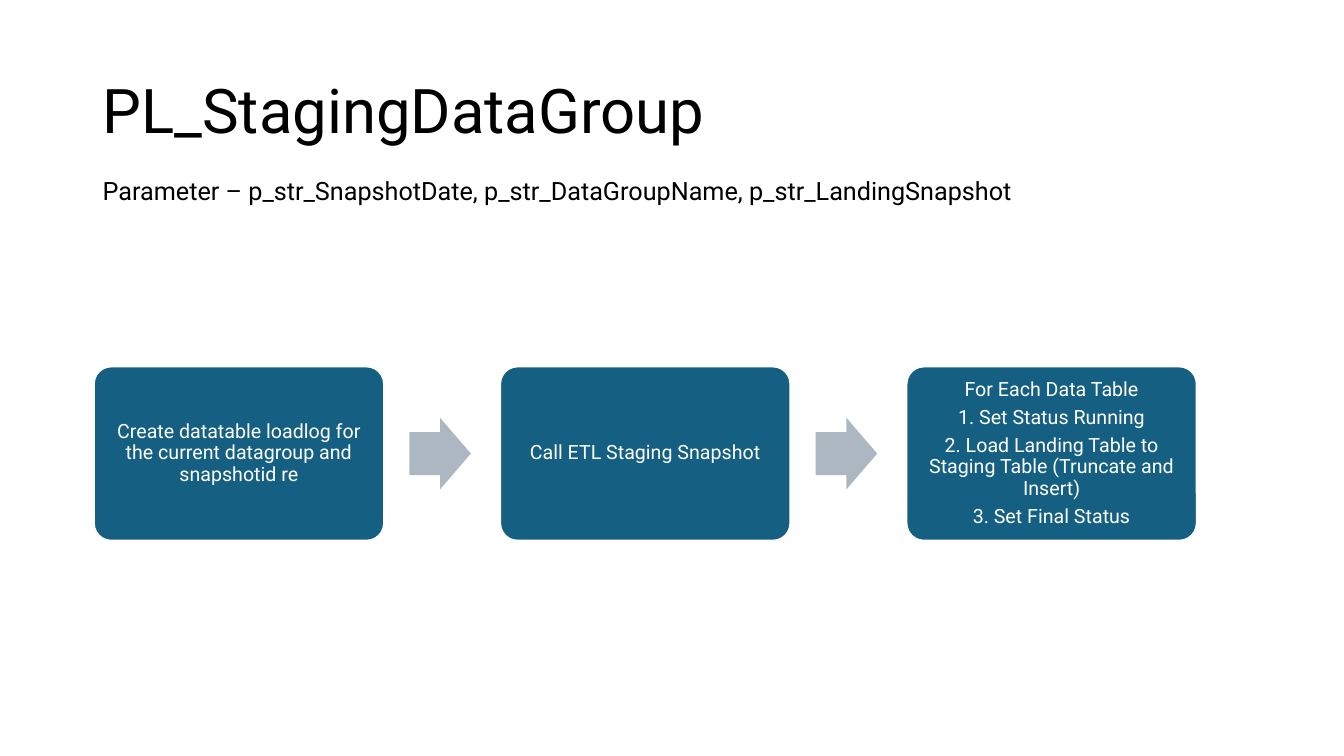
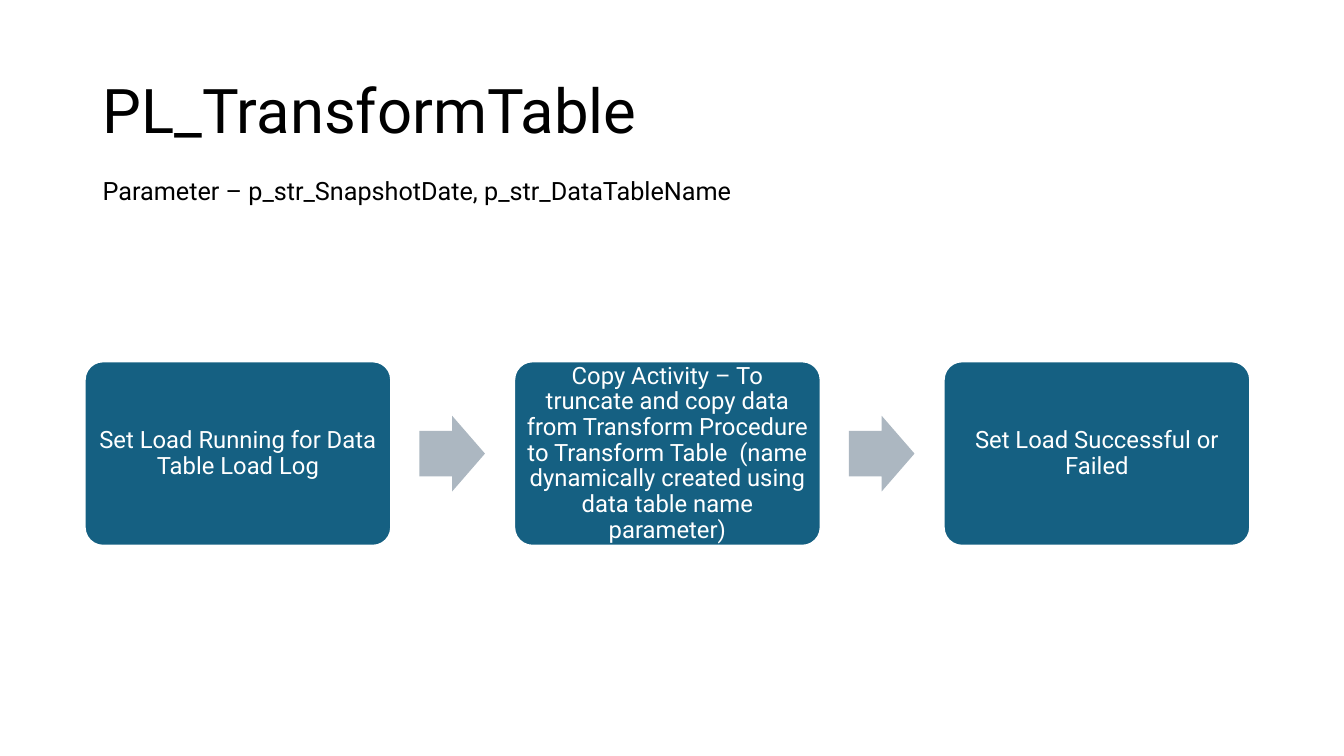
from pptx import Presentation
from pptx.dml.color import RGBColor
from pptx.enum.shapes import MSO_SHAPE
from pptx.enum.text import MSO_ANCHOR, PP_ALIGN
from pptx.util import Inches, Pt

FONT = "Roboto"
COLORS = {"text": "000000", "step": "156082", "arrow": "ACB7C1", "white": "FFFFFF"}
FLOW_MIDDLE = 4.5

# Content: each step is a list of paragraphs; lengths are in inches
PIPELINES = [
    {
        "title": "PL_StagingDataGroup",
        "parameters": "Parameter – p_str_SnapshotDate, p_str_DataGroupName, p_str_LandingSnapshot",
        "steps": [
            ["Create datatable loadlog for the current datagroup and snapshotid re"],
            ["Call ETL Staging Snapshot"],
            [
                "For Each Data Table",
                "1. Set Status Running",
                "2. Load Landing Table to Staging Table (Truncate and Insert)",
                "3. Set Final Status",
            ],
        ],
        "left": 0.93, "pitch": 4.03, "step": (2.88, 1.73),
        "arrow": (0.61, 0.71), "arrow_gap": 0.25, "inset": 0.06, "size": 14,
    },
    {
        "title": "PL_TransformTable",
        "parameters": "Parameter – p_str_SnapshotDate, p_str_DataTableName",
        "steps": [
            ["Set Load Running for Data Table Load Log"],
            ["Copy Activity – To truncate and copy data from Transform Procedure to "
             "Transform Table  (name dynamically created using data table name parameter)"],
            ["Set Load Successful or Failed"],
        ],
        "left": 0.84, "pitch": 4.26, "step": (3.04, 1.83),
        "arrow": (0.65, 0.75), "arrow_gap": 0.28, "inset": 0.07, "size": 17,
    },
]


def color(name):
    return RGBColor.from_string(COLORS[name])


def write(frame, lines, size, ink, align=PP_ALIGN.LEFT, spacing=1.0, after=0):
    frame.word_wrap = True
    for number, line in enumerate(lines):
        paragraph = frame.add_paragraph() if number else frame.paragraphs[0]
        paragraph.alignment = align
        paragraph.line_spacing = spacing
        paragraph.space_after = Pt(after)
        run = paragraph.add_run()
        run.text = line
        run.font.name = FONT
        run.font.size = Pt(size)
        run.font.color.rgb = color(ink)


def add_heading(slide, text, top, height, size, anchor, spacing):
    heading = slide.shapes.add_textbox(Inches(0.92), Inches(top), Inches(11.5), Inches(height))
    heading.text_frame.vertical_anchor = anchor
    write(heading.text_frame, [text], size, "text", spacing=spacing)


def add_block(slide, preset, left, size, fill, adjustments):
    """Add a filled shape centred on the middle line of the flow."""
    width, height = size
    block = slide.shapes.add_shape(
        preset, Inches(left), Inches(FLOW_MIDDLE - height / 2), Inches(width), Inches(height))
    for index, value in enumerate(adjustments):
        block.adjustments[index] = value
    block.shadow.inherit = False
    block.fill.solid()
    block.fill.fore_color.rgb = color(fill)
    block.line.fill.background()
    return block


def add_step(slide, pipeline, left, lines):
    step = add_block(slide, MSO_SHAPE.ROUNDED_RECTANGLE, left, pipeline["step"], "step", [0.1])
    step.line.color.rgb = color("white")
    step.line.width = Pt(1.5)
    frame = step.text_frame
    frame.vertical_anchor = MSO_ANCHOR.MIDDLE
    frame.margin_left = frame.margin_right = Inches(pipeline["inset"])
    frame.margin_top = frame.margin_bottom = Inches(pipeline["inset"])
    size = pipeline["size"]
    write(frame, lines, size, "white", PP_ALIGN.CENTER, 0.9, 0.35 * size)


def add_pipeline(presentation, pipeline):
    slide = presentation.slides.add_slide(presentation.slide_layouts[6])
    add_heading(slide, pipeline["title"], 0.4, 1.45, 44, MSO_ANCHOR.MIDDLE, 0.9)
    add_heading(slide, pipeline["parameters"], 1.69, 0.4, 18, MSO_ANCHOR.TOP, 1.0)

    # Steps at an even pitch, with an arrow before every step but the first
    for number, lines in enumerate(pipeline["steps"]):
        left = pipeline["left"] + number * pipeline["pitch"]
        if number:
            previous_right = left - pipeline["pitch"] + pipeline["step"][0]
            add_block(slide, MSO_SHAPE.RIGHT_ARROW, previous_right + pipeline["arrow_gap"],
                      pipeline["arrow"], "arrow", [0.6, 0.5])
        add_step(slide, pipeline, left, lines)


def main():
    presentation = Presentation()
    presentation.slide_width = Inches(13.33)
    presentation.slide_height = Inches(7.5)
    for pipeline in PIPELINES:
        add_pipeline(presentation, pipeline)
    presentation.save("out.pptx")


if __name__ == "__main__":
    main()
